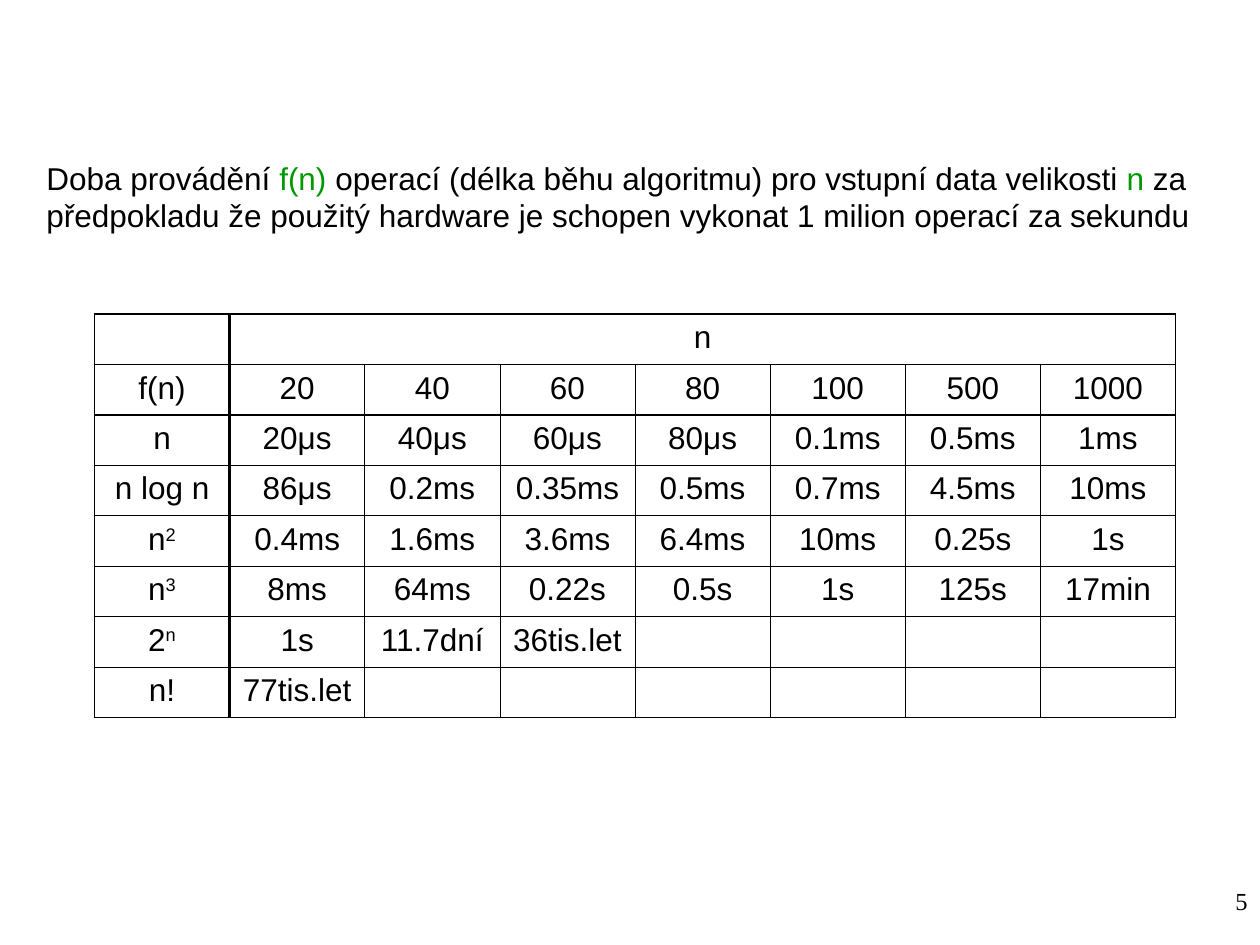
import pptx
import pptx.dml.color
import pptx.enum.text
import pptx.oxml.ns
import pptx.util
from lxml import etree
from pptx.util import Inches

COLORS = {"text": "000000", "variable": "009900", "border": "000000"}
THIN, OUTER, HEAVY = 0.45, 1.08, 1.47
ALIGN = pptx.enum.text.PP_ALIGN

INTRO = [
    ("Doba provádění ", "text"),
    ("f(n)", "variable"),
    (" operací (délka běhu algoritmu) pro vstupní data velikosti ", "text"),
    ("n", "variable"),
    (" za předpokladu že použitý hardware je schopen vykonat 1 milion operací za sekundu", "text"),
]

# A caret starts a superscript.
ROWS = [
    ["", "n"],
    ["f(n)", "20", "40", "60", "80", "100", "500", "1000"],
    ["n", "20μs", "40μs", "60μs", "80μs", "0.1ms", "0.5ms", "1ms"],
    ["n log n", "86μs", "0.2ms", "0.35ms", "0.5ms", "0.7ms", "4.5ms", "10ms"],
    ["n^2", "0.4ms", "1.6ms", "3.6ms", "6.4ms", "10ms", "0.25s", "1s"],
    ["n^3", "8ms", "64ms", "0.22s", "0.5s", "1s", "125s", "17min"],
    ["2^n", "1s", "11.7dní", "36tis.let"],
    ["n!", "77tis.let"],
]
COLUMN_COUNT = 8


def rgb(name):
    return pptx.dml.color.RGBColor.from_string(COLORS[name])


def set_font(font, size, name="Arial"):
    font.size = pptx.util.Pt(size)
    font.name = name
    font.color.rgb = rgb("text")


def add_text(slide, left, top, width, height, runs, size, name="Arial", align=ALIGN.LEFT):
    """Add a one-paragraph text box from (text, color name) runs."""
    box = slide.shapes.add_textbox(Inches(left), Inches(top), Inches(width), Inches(height))
    box.text_frame.word_wrap = True
    paragraph = box.text_frame.paragraphs[0]
    paragraph.alignment = align
    set_font(paragraph.font, size, name)
    for text, color in runs:
        run = paragraph.add_run()
        run.text = text
        run.font.color.rgb = rgb(color)


def fill_cell(cell, text):
    paragraph = cell.text_frame.paragraphs[0]
    paragraph.alignment = ALIGN.CENTER
    set_font(paragraph.font, 18)
    base, _, superscript = text.partition("^")
    if base:
        paragraph.add_run().text = base
    if superscript:
        run = paragraph.add_run()
        run.text = superscript
        run.font._element.set("baseline", "30000")


def set_borders(cell, widths):
    """Draw the left, right, top and bottom borders, with widths in points."""
    properties = cell._tc.get_or_add_tcPr()
    for side, width in zip("LRTB", widths):
        line = etree.SubElement(properties, pptx.oxml.ns.qn(f"a:ln{side}"),
                                w=str(pptx.util.Pt(width)))
        fill = etree.SubElement(line, pptx.oxml.ns.qn("a:solidFill"))
        etree.SubElement(fill, pptx.oxml.ns.qn("a:srgbClr"), val=COLORS["border"])


def edge_widths(count, heavy_edge):
    """Widths of the lines before, between and after the rows or columns."""
    widths = [OUTER] + [THIN] * (count - 1) + [OUTER]
    widths[heavy_edge] = HEAVY
    return widths


def add_running_times(slide):
    table = slide.shapes.add_table(len(ROWS), COLUMN_COUNT, Inches(0.75), Inches(2.49),
                                   Inches(8.58), Inches(3.2)).table
    table.first_row = table.horz_banding = False
    vertical = edge_widths(COLUMN_COUNT, 1)
    horizontal = edge_widths(len(ROWS), 2)
    for row, texts in enumerate(ROWS):
        for column in range(COLUMN_COUNT):
            cell = table.cell(row, column)
            fill_cell(cell, texts[column] if column < len(texts) else "")
            set_borders(cell, vertical[column:column + 2] + horizontal[row:row + 2])
            cell.fill.background()
    table.cell(0, 1).merge(table.cell(0, COLUMN_COUNT - 1))


def main():
    presentation = pptx.Presentation()
    presentation.slide_width = Inches(10)
    presentation.slide_height = Inches(7.5)
    slide = presentation.slides.add_slide(presentation.slide_layouts[6])
    add_text(slide, 0.27, 1.21, 9.53, 0.7, INTRO, 18)
    add_running_times(slide)
    add_text(slide, 7.67, 6.98, 2.33, 0.52, [("5", "text")], 14, "Times New Roman", ALIGN.RIGHT)
    presentation.save("out.pptx")


if __name__ == "__main__":
    main()
